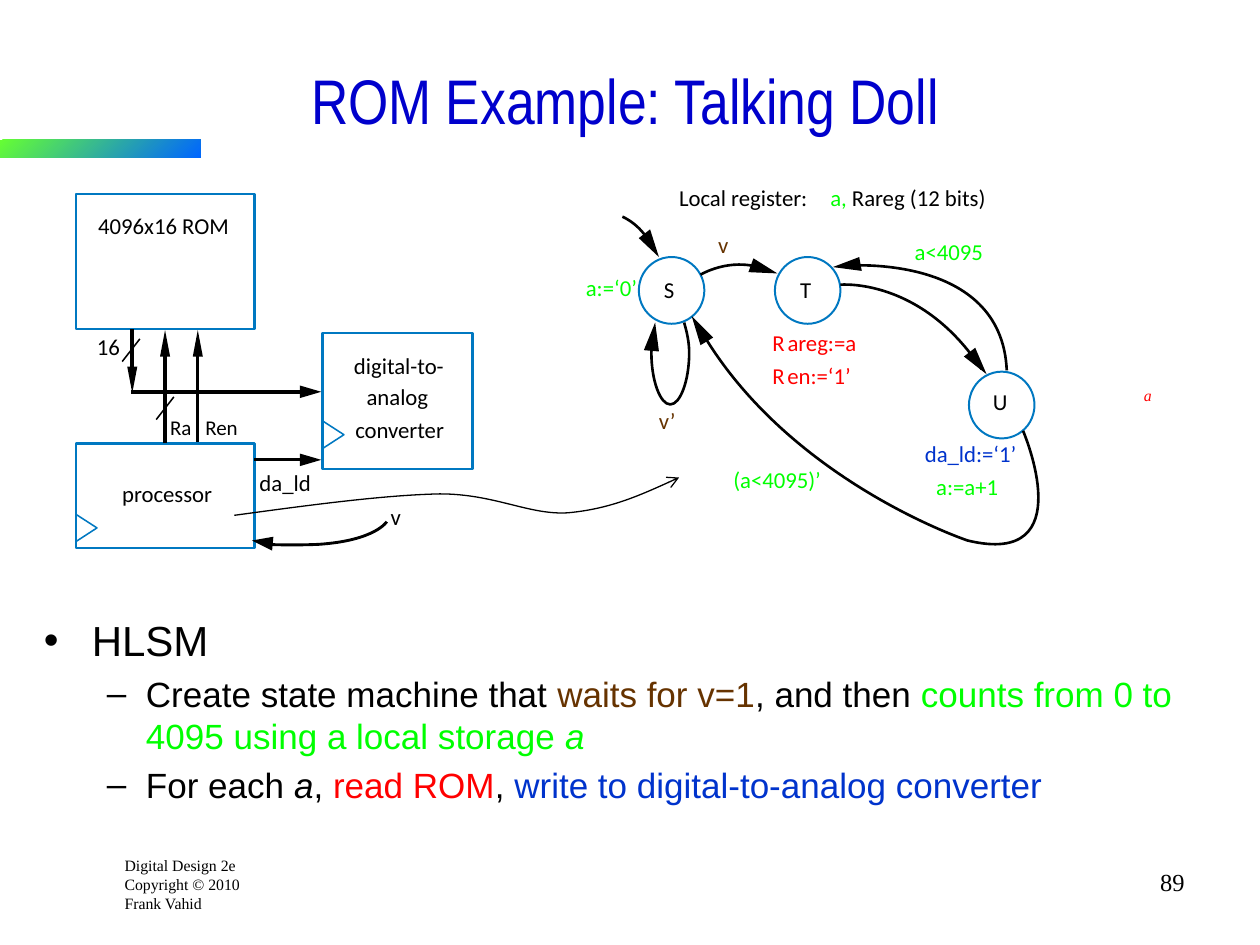
import pptx
import pptx.util
import pptx.dml.color
import pptx.enum.shapes
import pptx.enum.text
import pptx.oxml.ns
from lxml import etree

Inches, Pt, qn = pptx.util.Inches, pptx.util.Pt, pptx.oxml.ns.qn
MSO_SHAPE = pptx.enum.shapes.MSO_SHAPE
PP_ALIGN = pptx.enum.text.PP_ALIGN
MSO_ANCHOR = pptx.enum.text.MSO_ANCHOR
AUTO_SIZE = pptx.enum.text.MSO_AUTO_SIZE

COLORS = {"black": "000000", "title": "0000CC", "outline": "0078C1",
          "count": "00FF00", "read": "FF0000", "write": "0033CC",
          "wait": "663300", "bar_start": "66FF33", "bar_end": "0066FF"}

TITLE = "ROM Example: Talking Doll"
FOOTER = ["Digital Design 2e", "Copyright © 2010", "Frank Vahid"]
PAGE_NUMBER = "89"
BODY = [
    ("•", 24, 0.38, 0.38, [("HLSM", "black", False)]),
    ("–", 20, 0.81, 0.31, [
        ("Create state machine that ", "black", False),
        ("waits for v=1", "wait", False),
        (", and then ", "black", False),
        ("counts from 0 to 4095 using a local storage ", "count", False),
        ("a", "count", True)]),
    ("–", 20, 0.81, 0.31, [
        ("For each ", "black", False), ("a", "black", True),
        (", ", "black", False), ("read ROM", "read", False),
        (", ", "black", False),
        ("write to digital-to-analog converter", "write", False)]),
]

BLOCKS = {"rom": (0.6, 1.54, 1.42, 1.07), "converter": (2.56, 2.64, 1.19, 1.08),
          "processor": (0.6, 3.52, 1.42, 0.83)}
STATES = [(5.07, 2.04), (6.15, 2.04), (7.69, 2.95)]
CLOCKS = [(2.56, 3.34), (0.6, 4.08)]
BUS_TICKS = [(1.11, 2.69), (1.38, 3.15)]
WIRES = {
    "address": ((1.31, 3.51), (1.31, 2.79), (1.31, 2.62), 2.38),
    "enable": ((1.57, 3.51), (1.57, 2.79), (1.57, 2.62), 1.63),
    "data_down": ((1.05, 2.61), (1.05, 2.94), (1.05, 3.12), 2.38),
    "data_right": ((1.04, 3.11), (2.41, 3.11), (2.55, 3.11), 2.38),
    "load": ((2.02, 3.65), (2.41, 3.65), (2.55, 3.65), 1.63),
}
CURVE_HEADS = [
    [(2, 4.29), (2.16, 4.37), (2.17, 4.26)],
    [(5.23, 2.04), (5.16, 1.82), (5.07, 1.89)],
    [(6.17, 2.17), (5.98, 2.05), (5.94, 2.16)],
    [(5.2, 2.56), (5.11, 2.78), (5.23, 2.79)],
    [(7.83, 2.97), (7.74, 2.76), (7.65, 2.83)],
    [(5.49, 2.51), (5.56, 2.74), (5.66, 2.68)],
    [(6.61, 2.12), (6.84, 2.15), (6.82, 2.04)],
]
VOICE_INPUT = [(3.07, 4.14), (3.07, 4.14), (2.98, 4.29), (2.53, 4.32),
               (2.53, 4.32), (2.34, 4.33), (2.1, 4.32)]
TRANSITIONS = [
    [(4.94, 1.72), (4.94, 1.72), (5.11, 1.79), (5.18, 1.98)],
    [(5.56, 2.18), (5.56, 2.18), (5.79, 2.04), (6.05, 2.13)],
    [(6.67, 2.26), (6.67, 2.26), (7.31, 2.2), (7.79, 2.93)],
    [(6.7, 2.11), (6.7, 2.11), (7.95, 2), (7.99, 2.94)],
    [(5.43, 2.56), (5.45, 2.63), (5.47, 2.71), (5.47, 2.8), (5.47, 3.02),
     (5.4, 3.21), (5.32, 3.21), (5.24, 3.21), (5.17, 3.02), (5.17, 2.8),
     (5.17, 2.75), (5.18, 2.7), (5.18, 2.66)],
    [(8.12, 3.42), (8.12, 3.42), (8.59, 4.51), (7.68, 4.29),
     (7.68, 4.29), (6.24, 3.81), (5.55, 2.6)],
]
BEHAVIOR_LINK = [(1.86, 4.09), (2.45, 4.01), (3.04, 3.93), (3.49, 3.92),
                 (3.93, 3.92), (4.2, 4.09), (4.51, 4.07),
                 (4.83, 4.04), (5.11, 3.92), (5.39, 3.79)]
LABELS = [
    (0.78, 1.68, 1.17, 13, [("4096x16 ROM", "black")]),
    (0.97, 3.81, 0.8, 13, [("processor", "black")]),
    (1.35, 3.29, 0.21, 12, [("Ra", "black")]),
    (0.77, 2.64, 0.2, 13, [("16", "black")]),
    (1.63, 3.29, 0.3, 12, [("Ren", "black")]),
    (2.06, 3.72, 0.44, 13, [("da_ld", "black")]),
    (2.81, 2.79, 0.74, 13, [("digital-to-", "black")]),
    (2.91, 3.04, 0.54, 13, [("analog", "black")]),
    (2.82, 3.3, 0.76, 13, [("converter", "black")]),
    (3.1, 3.99, 0.09, 13, [("v", "black")]),
    (5.27, 2.19, 0.1, 13, [("S", "black")]),
    (6.35, 2.19, 0.11, 13, [("T", "black")]),
    (7.88, 3.08, 0.13, 13, [("U", "black")]),
    (4.65, 2.17, 0.44, 13, [("a:=‘0’", "count")]),
    (7.34, 3.49, 0.78, 13, [("da_ld:=‘1’", "write")]),
    (7.43, 3.75, 0.56, 13, [("a:=a+1", "count")]),
    (5.82, 3.7, 0.77, 13, [("(a<4095)’", "count")]),
    (7.26, 1.89, 0.6, 13, [("a<4095", "count")]),
    (6.13, 2.61, 0.12, 13, [("R", "read")]),
    (6.25, 2.61, 0.62, 13, [("areg:=a", "read")]),
    (6.13, 2.87, 0.12, 13, [("R", "read")]),
    (6.25, 2.87, 0.54, 13, [("en:=‘1’", "read")]),
    (5.39, 1.46, 1.14, 13, [("Local register:", "black")]),
    (6.59, 1.46, 1.4, 13, [("a, ", "count"), ("Rareg (12 bits)", "black")]),
    (5.7, 1.83, 0.09, 13, [("v", "wait")]),
    (5.23, 3.23, 0.15, 13, [("v’", "wait")]),
]

deck = pptx.Presentation()
deck.slide_width, deck.slide_height = Inches(10), Inches(7.5)
slide = deck.slides.add_slide(deck.slide_layouts[6])
shapes = slide.shapes


def rgb(color):
    return pptx.dml.color.RGBColor.from_string(COLORS[color])


def add_text_frame(left, top, width, height, wrap=True):
    frame = shapes.add_textbox(*map(Inches, (left, top, width, height))).text_frame
    frame.word_wrap = wrap
    return frame


def add_run(paragraph, text, size, font, color="black", italic=False):
    run = paragraph.add_run()
    run.text = text
    run.font.size, run.font.name, run.font.italic = Pt(size), font, italic
    run.font.color.rgb = rgb(color)


def paint(shape, fill=None, line=None, weight=1):
    shape.shadow.inherit = False
    for part, color in ((shape.fill, fill), (shape.line.fill, line)):
        if color:
            part.solid()
            part.fore_color.rgb = rgb(color)
        else:
            part.background()
    if line:
        shape.line.width = Pt(weight)


def add_outline(points, close=False, **style):
    corners = [(Inches(x), Inches(y)) for x, y in points]
    builder = shapes.build_freeform(*corners[0])
    builder.add_line_segments(corners[1:], close=close)
    outline = builder.convert_to_shape()
    paint(outline, **style)
    return outline


def add_curve(points, weight):
    curve = add_outline(points, line="black", weight=weight)
    segments = curve._element.xpath(".//a:lnTo")
    for first in range(0, len(segments), 3):
        bezier = etree.SubElement(segments[first].getparent(), qn("a:cubicBezTo"))
        for segment in segments[first:first + 3]:
            bezier.append(segment[0])
            segment.getparent().remove(segment)
    return curve


def add_line(start, end, weight):
    line = shapes.add_connector(pptx.enum.shapes.MSO_CONNECTOR.STRAIGHT,
                                *map(Inches, start + end))
    line.line.color.rgb = rgb("black")
    line.line.width = Pt(weight)
    etree.SubElement(line._element.spPr, qn("a:effectLst"))
    return line


def add_wire(start, end, tip, weight):
    x, y = tip
    if start[0] == x:
        base = y - 0.21 if y > start[1] else y + 0.21
        head = [tip, (x - 0.04, base), (x + 0.04, base)]
    else:
        head = [tip, (x - 0.17, y - 0.05), (x - 0.17, y + 0.05)]
    add_outline(head, close=True, fill="black")
    return add_line(start, end, weight)


footer = add_text_frame(0.89, 6.74, 1.12, 0.55)
for i, text in enumerate(FOOTER):
    add_run(footer.add_paragraph() if i else footer.paragraphs[0], text, 9, "Times New Roman")

bar = shapes.add_shape(MSO_SHAPE.RECTANGLE, 0, Inches(1.11), Inches(1.59), Inches(0.14))
paint(bar)
bar.fill.gradient()
bar.fill.gradient_angle = 315
for stop, color in zip(bar.fill.gradient_stops, ("bar_start", "bar_end")):
    stop.color.rgb = rgb(color)

page = add_text_frame(7.42, 6.83, 2.08, 0.5).paragraphs[0]
page.alignment = PP_ALIGN.RIGHT
add_run(page, PAGE_NUMBER, 14, "Times New Roman")

title = add_text_frame(0.25, 0.33, 9.42, 0.92)
title.vertical_anchor = MSO_ANCHOR.MIDDLE
title.paragraphs[0].alignment = PP_ALIGN.CENTER
add_run(title.paragraphs[0], TITLE, 36, "Arial Narrow", "title")

body = add_text_frame(0.25, 4.83, 9.42, 1.83)
for i, (bullet, size, indent, hanging, runs) in enumerate(BODY):
    paragraph = body.add_paragraph() if i else body.paragraphs[0]
    properties = paragraph._p.get_or_add_pPr()
    properties.set("marL", str(Inches(indent)))
    properties.set("indent", str(-Inches(hanging)))
    etree.SubElement(properties, qn("a:buFont"), typeface="Arial")
    etree.SubElement(properties, qn("a:buChar"), char=bullet)
    if i:
        paragraph.space_before = Pt(size * 0.2)
    for text, color, italic in runs:
        add_run(paragraph, text, size, "Arial", color, italic)

blocks = {}
for name, box in BLOCKS.items():
    blocks[name] = shapes.add_shape(MSO_SHAPE.RECTANGLE, *map(Inches, box))
    paint(blocks[name], line="outline", weight=1.25)
for left, top in STATES:
    state = shapes.add_shape(MSO_SHAPE.OVAL, *map(Inches, (left, top, 0.52, 0.53)))
    paint(state, line="outline", weight=1.13)

wires = {name: add_wire(*wire) for name, wire in WIRES.items()}
wires["address"].begin_connect(blocks["processor"], 0)
for x, y in CLOCKS:
    add_outline([(x, y + 0.22), (x + 0.17, y + 0.11), (x, y)], line="outline", weight=0.88)
for x, y in BUS_TICKS:
    add_line((x, y), (x - 0.14, y + 0.18), 0.88)
for head in CURVE_HEADS:
    add_outline(head, close=True, fill="black")
add_curve(VOICE_INPUT, 1.63)
for transition in TRANSITIONS:
    add_curve(transition, 1.5)
link = add_curve(BEHAVIOR_LINK, 0.75)
etree.SubElement(link._element.spPr.find(qn("a:ln")), qn("a:tailEnd"), type="arrow")

for left, top, width, size, runs in LABELS:
    label = add_text_frame(left, top, width, size / 60, wrap=False)
    label.margin_left = label.margin_right = label.margin_top = label.margin_bottom = 0
    label.auto_size = AUTO_SIZE.SHAPE_TO_FIT_TEXT
    for text, color in runs:
        add_run(label.paragraphs[0], text, size, "Calibri", color)
storage = add_text_frame(8.98, 3.01, 0.26, 0.25, wrap=False)
add_run(storage.paragraphs[0], "a", 9, "Times New Roman", "read", True)

deck.save("out.pptx")
